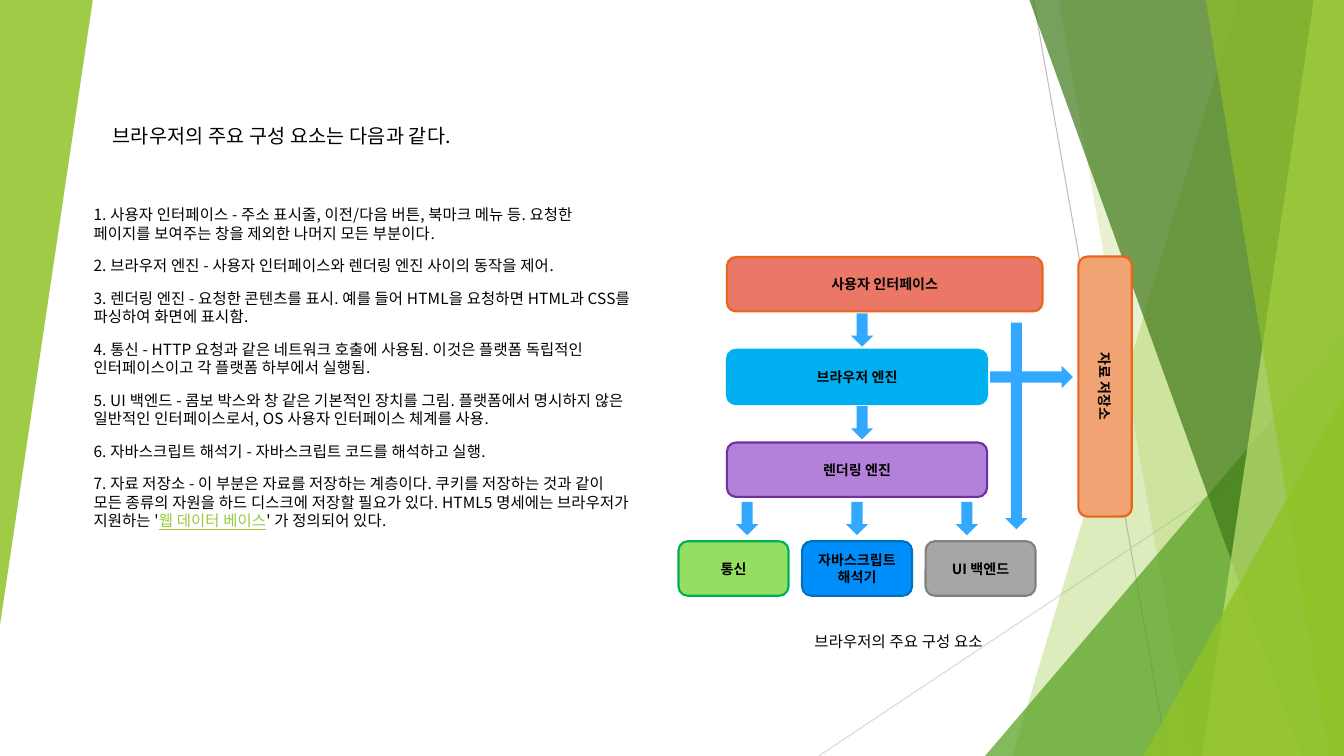
from lxml import etree
from pptx import Presentation
from pptx.dml.color import RGBColor
from pptx.enum.shapes import MSO_CONNECTOR, MSO_SHAPE
from pptx.enum.text import MSO_ANCHOR, PP_ALIGN
from pptx.oxml.ns import qn
from pptx.util import Inches, Pt

FONT = "Noto Sans CJK KR"
BLACK = RGBColor(0x00, 0x00, 0x00)
LIGHT_GREY = RGBColor(0xD9, 0xD9, 0xD9)
MID_GREY = RGBColor(0xBF, 0xBF, 0xBF)
GREEN = RGBColor(0x90, 0xC2, 0x26)
LEAF = RGBColor(0x54, 0xA0, 0x21)
FOREST = RGBColor(0x3F, 0x78, 0x19)
LIME = RGBColor(0xC0, 0xE4, 0x74)
LINK_GREEN = RGBColor(0x99, 0xCA, 0x3C)
ARROW_BLUE = RGBColor(0x33, 0xA8, 0xFF)
CORAL = RGBColor(0xEB, 0x77, 0x66)
ORANGE = RGBColor(0xE7, 0x66, 0x18)
PEACH = RGBColor(0xF1, 0xA3, 0x74)
SKY = RGBColor(0x00, 0xB0, 0xF0)
LILAC = RGBColor(0xB3, 0x81, 0xD9)
PURPLE = RGBColor(0x70, 0x30, 0xA0)
FRESH_GREEN = RGBColor(0x94, 0xDE, 0x61)
DEEP_GREEN = RGBColor(0x00, 0xB0, 0x50)
AZURE = RGBColor(0x00, 0x8F, 0xFA)
DEEP_BLUE = RGBColor(0x00, 0x70, 0xC0)
GREY = RGBColor(0xA6, 0xA6, 0xA6)
DARK_GREY = RGBColor(0x80, 0x80, 0x80)

LINK = "웹 데이터 베이스"
COMPONENTS = [
    ["1. 사용자 인터페이스 - 주소 표시줄, 이전/다음 버튼, 북마크 메뉴 등. 요청한 페이지를 보여주는 창을 제외한 나머지 모든 부분이다."],
    ["2. 브라우저 엔진 - 사용자 인터페이스와 렌더링 엔진 사이의 동작을 제어."],
    ["3. 렌더링 엔진 - 요청한 콘텐츠를 표시. 예를 들어 HTML을 요청하면 HTML과 CSS를 파싱하여 화면에 표시함."],
    ["4. 통신 - HTTP 요청과 같은 네트워크 호출에 사용됨. 이것은 플랫폼 독립적인 인터페이스이고 각 플랫폼 하부에서 실행됨."],
    ["5. UI 백엔드 - 콤보 박스와 창 같은 기본적인 장치를 그림. 플랫폼에서 명시하지 않은 일반적인 인터페이스로서, OS 사용자 인터페이스 체계를 사용."],
    ["6. 자바스크립트 해석기 - 자바스크립트 코드를 해석하고 실행."],
    ["7. 자료 저장소 - 이 부분은 자료를 저장하는 계층이다. 쿠키를 저장하는 것과 같이 모든 종류의 자원을 하드 디스크에 저장할 필요가 있다. HTML5 명세에는 브라우저가 지원하는 '",
     LINK, "' 가 정의되어 있다."],
]


def format_run(run, size, bold=False, color=BLACK):
    run.font.size = Pt(size)
    run.font.bold = bold
    run.font.name = FONT
    run.font.color.rgb = color
    properties = run.font._element
    properties.set("spc", str(round(size * 0.8)))  # slight letter spacing
    etree.SubElement(properties, qn("a:ea")).set("typeface", FONT)


def paint(shape, fill, line=None, opacity=100):
    shape.shadow.inherit = False
    shape.fill.solid()
    shape.fill.fore_color.rgb = fill
    if opacity < 100:
        color = shape.fill._xPr.find(qn("a:solidFill"))[0]
        etree.SubElement(color, qn("a:alpha")).set("val", str(opacity * 1000))
    if line is None:
        shape.line.fill.background()
    else:
        shape.line.color.rgb = line
        shape.line.width = Pt(1.5)


def add_preset(slide, kind, left, top, width, height):
    return slide.shapes.add_shape(
        kind, Inches(left), Inches(top), Inches(width), Inches(height))


def add_triangle(slide, left, top, width, height, fill, opacity, rotation=0):
    triangle = add_preset(slide, MSO_SHAPE.ISOSCELES_TRIANGLE, left, top, width, height)
    triangle.adjustments[0] = 1
    triangle.rotation = rotation
    paint(triangle, fill, opacity=opacity)


def add_hairline(slide, start, end, color):
    line = slide.shapes.add_connector(
        MSO_CONNECTOR.STRAIGHT, *[Inches(value) for value in start + end])
    line.line.color.rgb = color
    line.line.width = Pt(0.75)
    etree.SubElement(line._element.spPr, qn("a:effectLst"))


def add_band(slide, right, top, bottom, top_width, bottom_width, fill, opacity):
    """Band along the right edge, given its width at the top and the bottom."""
    corners = [(right, top), (right, bottom), (right - bottom_width, bottom)]
    builder = slide.shapes.build_freeform(Inches(right - top_width), Inches(top))
    builder.add_line_segments([(Inches(x), Inches(y)) for x, y in corners])
    paint(builder.convert_to_shape(), fill, opacity=opacity)


def add_background(slide, left, top, width, height):
    right, bottom = left + width, top + height
    add_hairline(slide, (left + 10.25, top), (left + 11.58, bottom), MID_GREY)
    add_hairline(slide, (right, top + 4.03), (left + 8.12, bottom), LIGHT_GREY)

    def band(*style):
        add_band(slide, right, top, bottom, *style)

    def corner(corner_width, corner_height, fill, opacity):
        add_triangle(slide, right - corner_width, bottom - corner_height,
                     corner_width, corner_height, fill, opacity)

    band(1.05, 3.29, GREEN, 30)
    band(2.83, 1.5, GREEN, 20)
    corner(3.56, 4.17, LEAF, 72)
    band(3.12, 0.42, FOREST, 70)
    band(0.3, 1.41, LIME, 70)
    band(1.37, 0.15, GREEN, 65)
    corner(1.99, 3.57, GREEN, 80)
    add_triangle(slide, left, top, 0.92, 6.2, GREEN, 85, rotation=180)


def add_text(slide, left, top, width, height, paragraphs, size):
    """Text box; each paragraph is a list of run texts."""
    box = slide.shapes.add_textbox(
        Inches(left), Inches(top), Inches(width), Inches(height))
    frame = box.text_frame
    frame.word_wrap = True
    for index, texts in enumerate(paragraphs):
        paragraph = frame.add_paragraph() if index else frame.paragraphs[0]
        paragraph.space_before = Pt(10)
        for text in texts:
            run = paragraph.add_run()
            run.text = text
            is_link = text == LINK
            format_run(run, size, color=LINK_GREEN if is_link else BLACK)
            run.font.underline = is_link


def add_block(slide, left, top, width, height, text, fill, line, rotation=0):
    block = add_preset(slide, MSO_SHAPE.ROUNDED_RECTANGLE, left, top, width, height)
    block.rotation = rotation
    paint(block, fill, line)
    frame = block.text_frame
    frame.word_wrap = True
    frame.vertical_anchor = MSO_ANCHOR.MIDDLE
    frame.text = text
    for paragraph in frame.paragraphs:
        paragraph.alignment = PP_ALIGN.CENTER
        for run in paragraph.runs:
            format_run(run, 10, bold=True)


def add_diagram(slide, left, top, width, height):
    block_height, step = 0.54, 0.92
    # Stacked layers
    layers = [("사용자 인터페이스", 3.13, CORAL, ORANGE),
              ("브라우저 엔진", 2.58, SKY, SKY),
              ("렌더링 엔진", 2.58, LILAC, PURPLE)]
    for row, (text, layer_width, fill, line) in enumerate(layers):
        add_block(slide, left + 0.48, top + row * step, layer_width, block_height,
                  text, fill, line)
    # Data store, turned to run down the right side
    add_block(slide, left + width - 1.55, top + 1.02, 2.58, 0.53,
              "자료 저장소", PEACH, ORANGE, rotation=90)
    # Bottom row
    parts = [("통신", FRESH_GREEN, DEEP_GREEN),
             ("자바스크립트\v해석기", AZURE, DEEP_BLUE),
             ("UI 백엔드", GREY, DARK_GREY)]
    for column, (text, fill, line) in enumerate(parts):
        add_block(slide, left + column * 1.225, top + height - block_height,
                  1.09, block_height, text, fill, line)
    # Arrows
    down = MSO_SHAPE.DOWN_ARROW
    arrows = [(down, 3.24, 0.65, 0.22, 2.05)]
    arrows += [(down, 1.71, 0.56 + row * step, 0.22, 0.33) for row in range(2)]
    arrows += [(down, 0.57 + column * 1.09, 2.43, 0.22, 0.33) for column in range(3)]
    arrows.append((MSO_SHAPE.RIGHT_ARROW, 3.09, 1.08, 0.82, 0.22))
    for kind, x, y, arrow_width, arrow_height in arrows:
        arrow = add_preset(slide, kind, left + x, top + y, arrow_width, arrow_height)
        paint(arrow, ARROW_BLUE)


presentation = Presentation()
presentation.slide_width = Inches(13.33)
presentation.slide_height = Inches(7.5)
slide = presentation.slides.add_slide(presentation.slide_layouts[6])

add_background(slide, 0, 0, 13.33, 7.5)
add_text(slide, 1.02, 1.18, 5.05, 0.47, [["브라우저의 주요 구성 요소는 다음과 같다."]], 14)
add_diagram(slide, 6.73, 2.55, 4.49, 3.36)
add_text(slide, 0.83, 1.99, 5.53, 4.15, COMPONENTS, 11)
add_text(slide, 7.98, 6.22, 2.13, 0.3, [["브라우저의 주요 구성 요소"]], 11)
presentation.save("out.pptx")
